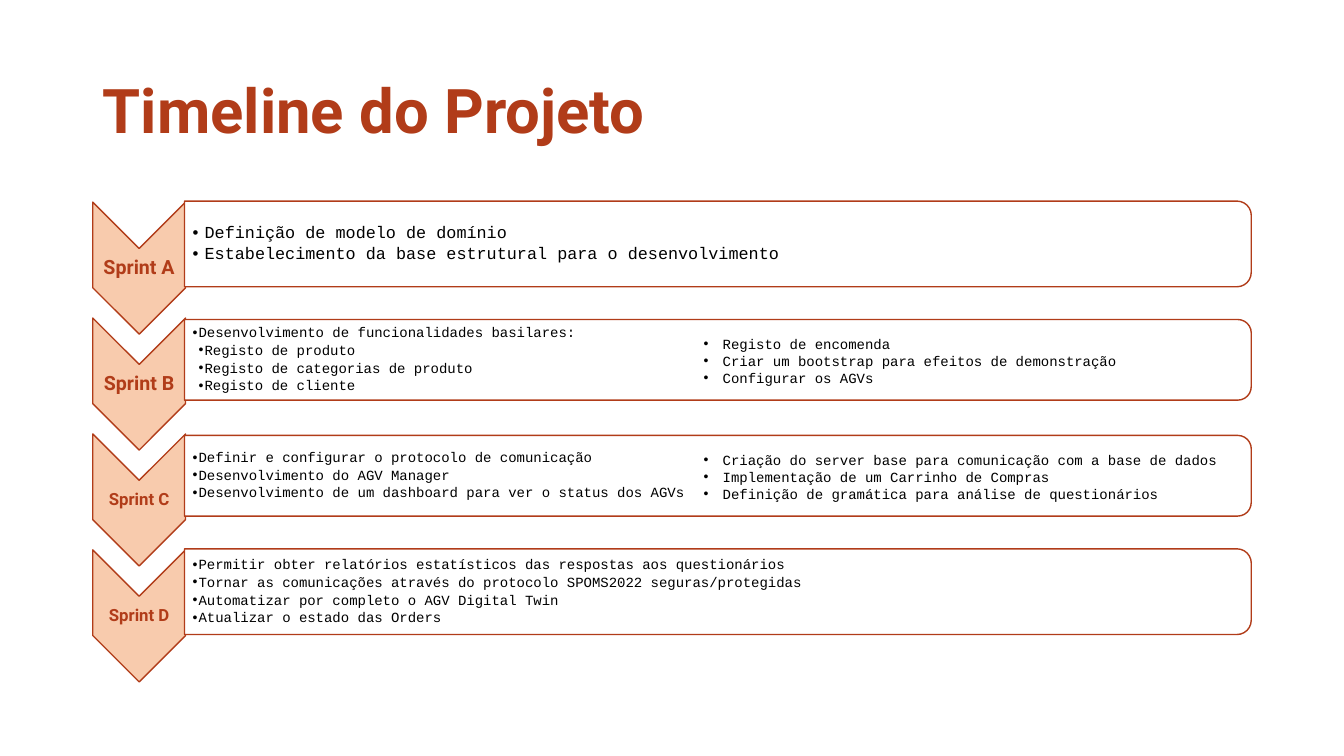
from lxml import etree
from pptx import Presentation
from pptx.dml.color import RGBColor
from pptx.enum.shapes import MSO_SHAPE
from pptx.enum.text import MSO_ANCHOR, PP_ALIGN
from pptx.oxml.ns import qn
from pptx.util import Inches, Pt

RUST = RGBColor(0xB1, 0x3C, 0x19)
PEACH = RGBColor(0xF8, 0xCB, 0xAD)
WHITE = RGBColor(0xFF, 0xFF, 0xFF)
BLACK = RGBColor(0x00, 0x00, 0x00)

TITLE = "Timeline do Projeto"
# Tasks are (level, wording); "more" holds the second column.
SPRINTS = [
    dict(name="Sprint A", name_size=14, size=12, indent=0.12, height=0.85, tasks=[
        (1, "Definição de modelo de domínio"),
        (1, "Estabelecimento da base estrutural para o desenvolvimento")], more=[]),
    dict(name="Sprint B", name_size=14, size=10, indent=0.06, height=0.8, tasks=[
        (1, "Desenvolvimento de funcionalidades basilares:"),
        (2, "Registo de produto"),
        (2, "Registo de categorias de produto"),
        (2, "Registo de cliente")], more=[
        (0, "Registo de encomenda"),
        (0, "Criar um bootstrap para efeitos de demonstração"),
        (0, "Configurar os AGVs")]),
    dict(name="Sprint C", name_size=12, size=10, indent=0.06, height=0.8, tasks=[
        (1, "Definir e configurar o protocolo de comunicação"),
        (1, "Desenvolvimento do AGV Manager"),
        (1, "Desenvolvimento de um dashboard para ver o status dos AGVs")], more=[
        (0, "Criação do server base para comunicação com a base de dados"),
        (0, "Implementação de um Carrinho de Compras"),
        (0, "Definição de gramática para análise de questionários")]),
    dict(name="Sprint D", name_size=12, size=10, indent=0.06, height=0.85, tasks=[
        (1, "Permitir obter relatórios estatísticos das respostas aos questionários"),
        (1, "Tornar as comunicações através do protocolo SPOMS2022 seguras/protegidas"),
        (1, "Automatizar por completo o AGV Digital Twin"),
        (1, "Atualizar o estado das Orders")], more=[]),
]

STEP = 1.15
FIRST_BAR_Y, FIRST_CHEVRON_Y = 2.42, 2.66
CHEVRON_X, CHEVRON_WIDTH, CHEVRON_HEIGHT = 1.38, 0.92, 1.31
BAR_LEFT, BAR_WIDTH = 1.83, 10.58
MORE_LEFT, MORE_WIDTH, MORE_HEIGHT = 6.88, 5.54, 0.61


def add_turned(slide, preset, center_x, center_y, width, height, fill):
    """Add a shape turned by 90 degrees that shows as width by height."""
    shape = slide.shapes.add_shape(
        preset, Inches(center_x - height / 2), Inches(center_y - width / 2),
        Inches(height), Inches(width))
    shape.rotation = 90
    shape.shadow.inherit = False
    shape.fill.solid()
    shape.fill.fore_color.rgb = fill
    shape.line.color.rgb = RUST
    shape.line.width = Pt(1)


def add_text_frame(slide, left, center_y, width, height, left_inset, inset):
    box = slide.shapes.add_textbox(
        Inches(left), Inches(center_y - height / 2), Inches(width), Inches(height))
    frame = box.text_frame
    frame.word_wrap = True
    frame.vertical_anchor = MSO_ANCHOR.MIDDLE
    frame.margin_left = Inches(left_inset)
    frame.margin_right = frame.margin_top = frame.margin_bottom = Inches(inset)
    return frame


def set_font(paragraph, name, size, color, bold=False):
    font = paragraph.font
    font.name, font.size, font.bold = name, Pt(size), bold
    font.color.rgb = color


def write_tasks(frame, tasks, size, indent):
    frame.text = "\n".join(wording for _, wording in tasks)
    for paragraph, (level, _) in zip(frame.paragraphs, tasks):
        paragraph.level = level
        set_font(paragraph, "Courier New", size, BLACK)
        if level:
            paragraph.line_spacing = 0.9
            paragraph.space_after = Pt(size * 0.18)
        properties = paragraph._p.get_or_add_pPr()
        properties.set("marL", str(Inches(indent * max(level, 1))))
        properties.set("indent", str(-Inches(indent)))
        bullet_font = etree.Element(qn("a:buFont"), typeface="Arial")
        bullet = etree.Element(qn("a:buChar"), char="•")
        default_font = properties.find(qn("a:defRPr"))
        default_font.addprevious(bullet_font)
        default_font.addprevious(bullet)


def add_sprint(slide, index, sprint):
    bar_y = FIRST_BAR_Y + index * STEP
    chevron_y = FIRST_CHEVRON_Y + index * STEP
    add_turned(slide, MSO_SHAPE.CHEVRON, CHEVRON_X, chevron_y,
               CHEVRON_WIDTH, CHEVRON_HEIGHT, PEACH)
    label = add_text_frame(slide, CHEVRON_X - CHEVRON_WIDTH / 2, chevron_y,
                           CHEVRON_WIDTH, 0.39, 0.01, 0.01)
    label.text = sprint["name"]
    name = label.paragraphs[0]
    name.alignment = PP_ALIGN.CENTER
    name.line_spacing = 0.9
    set_font(name, "Roboto", sprint["name_size"], RUST, bold=True)

    add_turned(slide, MSO_SHAPE.ROUND_2_SAME_RECTANGLE, BAR_LEFT + BAR_WIDTH / 2,
               bar_y, BAR_WIDTH, sprint["height"], WHITE)
    tasks = add_text_frame(slide, BAR_LEFT, bar_y, BAR_WIDTH - 0.04,
                           sprint["height"] - 0.08, 0.08, 0.01)
    write_tasks(tasks, sprint["tasks"], sprint["size"], sprint["indent"])
    if sprint["more"]:
        more = add_text_frame(slide, MORE_LEFT, bar_y + 0.01, MORE_WIDTH,
                              MORE_HEIGHT, 0.1, 0.05)
        write_tasks(more, sprint["more"], sprint["size"], 0.19)


def main():
    deck = Presentation()
    deck.slide_width, deck.slide_height = Inches(13.33), Inches(7.5)
    slide = deck.slides.add_slide(deck.slide_layouts[5])

    title = slide.shapes.title
    title.left, title.top = Inches(0.92), Inches(0.4)
    title.width, title.height = Inches(11.5), Inches(1.45)
    title.text_frame.text = TITLE
    title.text_frame.vertical_anchor = MSO_ANCHOR.MIDDLE
    heading = title.text_frame.paragraphs[0]
    heading.alignment = PP_ALIGN.LEFT
    heading.line_spacing = 0.9
    set_font(heading, "Roboto", 44, RUST, bold=True)

    for index, sprint in enumerate(SPRINTS):
        add_sprint(slide, index, sprint)
    deck.save("out.pptx")


if __name__ == "__main__":
    main()
